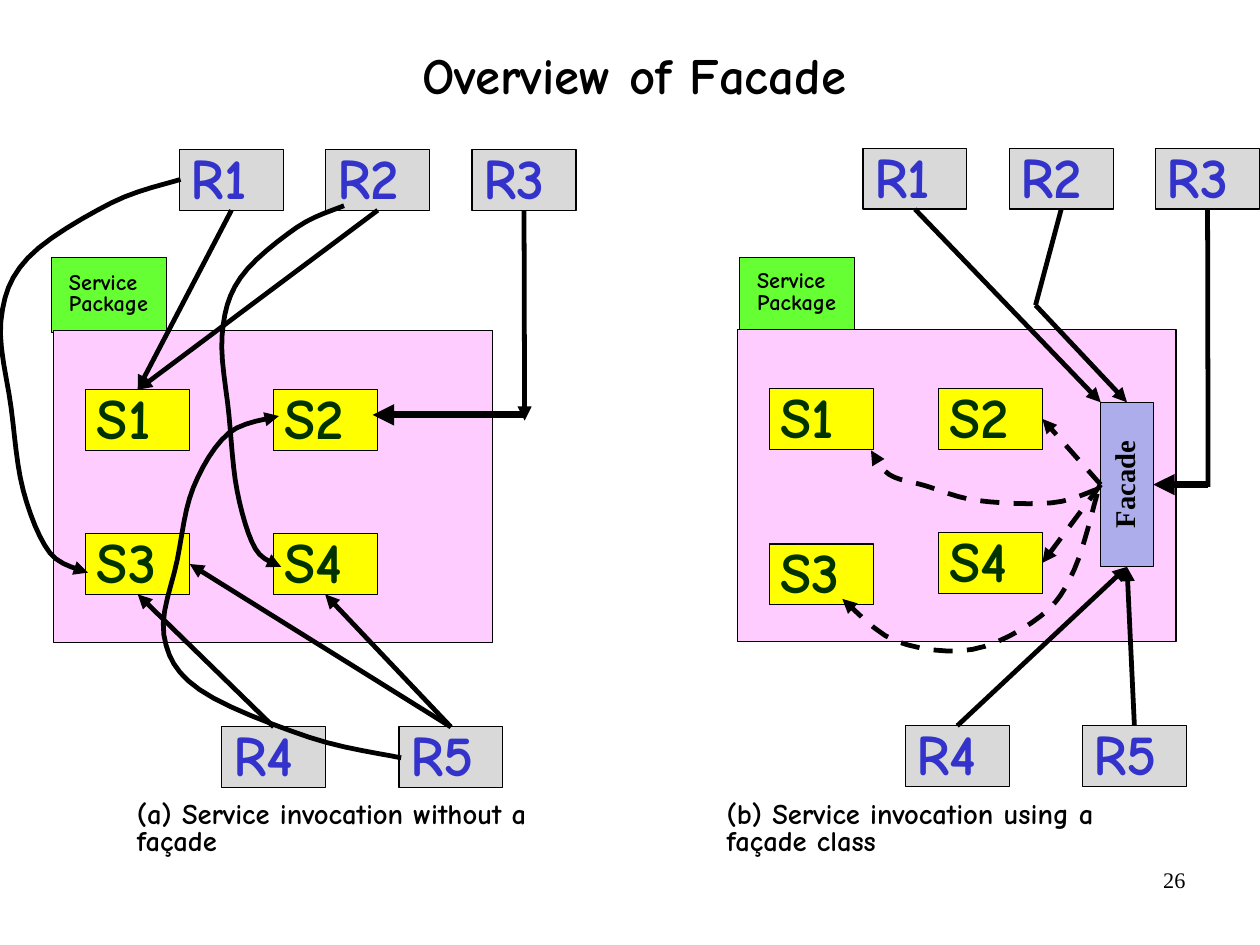
from lxml.etree import SubElement
from pptx import Presentation
from pptx.dml.color import RGBColor
from pptx.enum.dml import MSO_LINE
from pptx.enum.shapes import MSO_CONNECTOR, MSO_SHAPE
from pptx.enum.text import MSO_ANCHOR, PP_ALIGN
from pptx.oxml.ns import qn
from pptx.shapes.autoshape import Shape
from pptx.util import Cm, Pt

BLACK = RGBColor(0x00, 0x00, 0x00)
GREEN = RGBColor(0x66, 0xFF, 0x33)
PINK = RGBColor(0xFF, 0xCC, 0xFF)
GREY = RGBColor(0xD9, 0xD9, 0xD9)
BLUE = RGBColor(0x33, 0x33, 0xCC)
YELLOW = RGBColor(0xFF, 0xFF, 0x00)
DARK_GREEN = RGBColor(0x00, 0x33, 0x00)
LAVENDER = RGBColor(0xAD, 0xAD, 0xEB)

COMIC = "Comic Neue"
TIMES = "Times New Roman"
TITLE = {"name": COMIC, "size": Pt(32), "bold": True}
LABEL = {"name": COMIC, "size": Pt(36), "bold": True}
TAB = {"name": COMIC, "size": Pt(14), "bold": True}
CAPTION = {"name": COMIC, "size": Pt(18), "bold": True}
FACADE = {"name": TIMES, "size": Pt(18), "bold": True}
NUMBER = {"name": TIMES, "size": Pt(14)}

CM_PER_INCH = 2.54
TOP, LEFT, BOTTOM, RIGHT = range(4)
BOX_WIDTH, BOX_HEIGHT = 0.91, 0.53
PANEL_SHIFT = 5.98

DETOUR = [(0.75, 0.06), (1.65, 0.2), (1.94, 0.36), (1.83, 0.58), (1.7, 0.79), (1.41, 0.95)]
SHALLOW_WAVE = [(0.2, -0.35), (0.53, -0.29), (0.76, 0.09), (0.92, 0.38)]
DEEP_BOWL = [(0.09, 0.72), (0.22, 1.16), (0.49, 1.48), (0.79, 1.4)]
STEPS_PER_SPAN = 6


def lengths(*inches):
    return [Cm(value * CM_PER_INCH) for value in inches]


def apply_format(target, values):
    for name, value in values.items():
        setattr(target, name, value)


def write(shape, text, font_format, color=BLACK, spacing=0.8,
          align=PP_ALIGN.LEFT, **frame_format):
    frame = shape.text_frame
    apply_format(frame, {"word_wrap": True, "vertical_anchor": MSO_ANCHOR.TOP} | frame_format)
    paragraph = frame.paragraphs[0]
    apply_format(paragraph, {"text": text, "line_spacing": spacing, "alignment": align})
    font = paragraph.runs[0].font
    apply_format(font, font_format)
    font.color.rgb = color


def add_text(slide, area, text, font_format, **options):
    write(slide.shapes.add_textbox(*lengths(*area)), text, font_format, **options)


def add_box(slide, area, fill):
    shape = slide.shapes.add_shape(MSO_SHAPE.RECTANGLE, *lengths(*area))
    shape.shadow.inherit = False
    shape.fill.solid()
    shape.fill.fore_color.rgb = fill
    shape.line.color.rgb = BLACK
    shape.line.width = Pt(0.75)
    return shape


def style_stroke(shape, width=3, dashed=False, arrow=True):
    shape.line.color.rgb = BLACK
    shape.line.width = Pt(width)
    if dashed:
        shape.line.dash_style = MSO_LINE.DASH
    properties = shape.element.spPr
    if arrow:
        SubElement(properties.find(qn("a:ln")), qn("a:tailEnd"), type="triangle")
    SubElement(properties, qn("a:effectLst"))


def add_line(slide, begin, end, **stroke):
    connector = slide.shapes.add_connector(MSO_CONNECTOR.STRAIGHT, 0, 0, 0, 0)
    if isinstance(begin[0], Shape):
        connector.begin_connect(*begin)
    else:
        connector.begin_x, connector.begin_y = lengths(*begin)
    if isinstance(end[0], Shape):
        connector.end_connect(*end)
    else:
        connector.end_x, connector.end_y = lengths(*end)
    style_stroke(connector, **stroke)


def spline_value(before, start, end, after, t):
    return (2 * start + (end - before) * t
            + (2 * before - 5 * start + 4 * end - after) * t ** 2
            + (3 * start - before - 3 * end + after) * t ** 3) / 2


def smooth(points):
    padded = [points[0], *points, points[-1]]
    curve = [points[0]]
    for neighbours in zip(padded, padded[1:], padded[2:], padded[3:]):
        for step in range(1, STEPS_PER_SPAN + 1):
            curve.append([spline_value(*axis, step / STEPS_PER_SPAN)
                          for axis in zip(*neighbours)])
    return curve


def add_curve(slide, begin, end, route, **stroke):
    """Follow a route whose points are fractions of the way from begin to end."""
    waypoints = [[a + (b - a) * fraction for a, b, fraction in zip(begin, end, point)]
                 for point in [(0, 0), *route, (1, 1)]]
    start, *rest = [lengths(*point) for point in smooth(waypoints)]
    builder = slide.shapes.build_freeform(*start)
    builder.add_line_segments(rest, close=False)
    shape = builder.convert_to_shape()
    shape.fill.background()
    style_stroke(shape, **stroke)


def requester_places():
    places = {f"R{index + 1}": (1.57 + 1.28 * index, 1.31) for index in range(3)}
    return places | {f"R{index + 4}": (1.94 + 1.55 * index, 6.36) for index in range(2)}


def service_places(column_gap):
    return {f"S{2 * row + column + 1}": (0.75 + column_gap * column, 3.41 + 1.26 * row)
            for row in range(2) for column in range(2)}


def add_panel(slide, left, top, tab_area, services):
    tab = add_box(slide, tab_area, GREEN)
    write(tab, "Service Package", TAB, vertical_anchor=MSO_ANCHOR.MIDDLE,
          margin_left=Cm(0.39))
    add_box(slide, (left + 0.47, top + 2.89, 3.84, 2.73), PINK)
    boxes = {}
    for places, fill, color in ((requester_places(), GREY, BLUE),
                                (services, YELLOW, DARK_GREEN)):
        for name, (x, y) in places.items():
            boxes[name] = add_box(slide, (left + x, top + y, BOX_WIDTH, BOX_HEIGHT), fill)
            write(boxes[name], name, LABEL, color)
    return boxes


def add_direct_panel(slide):
    boxes = add_panel(slide, 0, 0, (0.45, 2.25, 1.01, 0.66), service_places(1.64))
    for source, begin_side, target, end_side in (
            ("R1", BOTTOM, "S1", TOP), ("R2", BOTTOM, "S1", TOP),
            ("R4", TOP, "S3", BOTTOM), ("R5", TOP, "S4", BOTTOM),
            ("R5", TOP, "S3", RIGHT)):
        add_line(slide, (boxes[source], begin_side), (boxes[target], end_side))
    add_line(slide, (boxes["R3"], BOTTOM), (4.59, 3.68))
    add_line(slide, (4.6, 3.63), (3.26, 3.63), width=4.5)
    r1_to_s3 = (1.58, 1.57), (0.77, 5.01)
    r2_to_s4 = (3.01, 1.8), (2.46, 4.96)
    r5_to_s2 = (3.51, 6.63), (2.44, 3.64)
    for begin, end in (r1_to_s3, r2_to_s4, r5_to_s2):
        add_curve(slide, begin, end, DETOUR)
    add_text(slide, (1.1, 6.97, 3.92, 0.58), "(a) Service invocation without a façade", CAPTION)


def add_facade_panel(slide):
    services = service_places(1.48) | {"S3": (0.75, 4.77)}
    boxes = add_panel(slide, PANEL_SHIFT, -0.01, (6.47, 2.25, 1.01, 0.63), services)
    facade = add_box(slide, (9.63, 3.52, 0.46, 1.44), LAVENDER)
    write(facade, "Facade", FACADE, align=PP_ALIGN.CENTER, vertical_anchor=MSO_ANCHOR.MIDDLE)
    facade.element.txBody.bodyPr.set("vert", "vert270")
    for name in ("R4", "R5"):
        add_line(slide, (boxes[name], TOP), (facade, BOTTOM))
    for name in ("S2", "S4"):
        add_line(slide, (facade, LEFT), (boxes[name], RIGHT), dashed=True)
    add_line(slide, (boxes["R1"], BOTTOM), (9.63, 3.52))
    r2_bend = (9.06, 2.67)
    add_line(slide, (boxes["R2"], BOTTOM), r2_bend, arrow=False)
    add_line(slide, r2_bend, (facade, TOP))
    add_line(slide, (boxes["R3"], BOTTOM), (10.57, 4.26), arrow=False)
    add_line(slide, (10.57, 4.24), (facade, RIGHT), width=4.5)
    add_curve(slide, (9.6, 4.28), (7.62, 3.94), SHALLOW_WAVE, dashed=True)
    add_curve(slide, (9.6, 4.32), (7.37, 5.24), DEEP_BOWL, dashed=True)
    add_text(slide, (6.26, 6.97, 3.92, 0.58), "(b) Service invocation using a façade class", CAPTION)


def main():
    presentation = Presentation()
    presentation.slide_width, presentation.slide_height = Cm(28), Cm(21)
    slide = presentation.slides.add_slide(presentation.slide_layouts[6])
    add_text(slide, (0.85, 0, 9.4, 1.37), "Overview of Facade", TITLE, spacing=0.88,
             align=PP_ALIGN.CENTER, vertical_anchor=MSO_ANCHOR.MIDDLE,
             margin_left=0, margin_top=0, margin_right=0, margin_bottom=0)
    add_facade_panel(slide)
    add_direct_panel(slide)
    add_text(slide, (7.9, 7.53, 2.57, 0.57), "26", NUMBER, spacing=1.0, align=PP_ALIGN.RIGHT)
    presentation.save("out.pptx")


if __name__ == "__main__":
    main()
